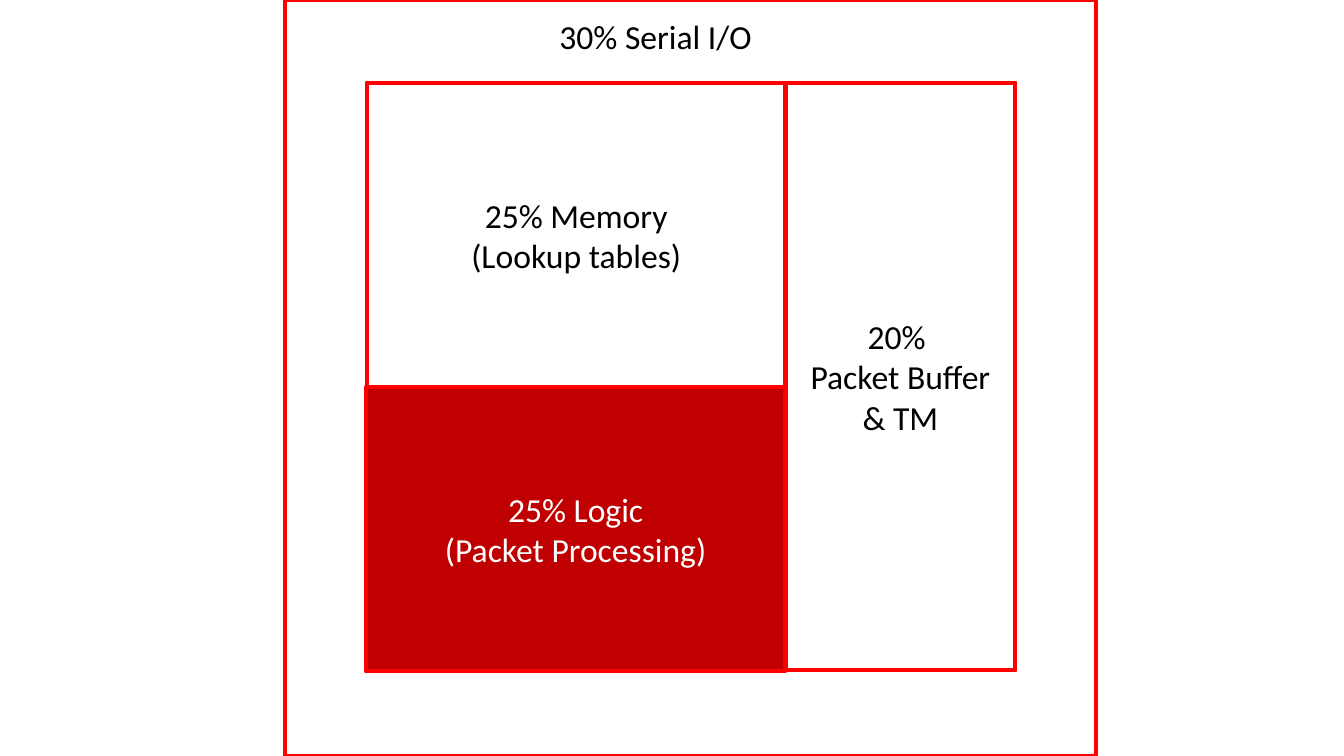
import pptx
import pptx.util
import pptx.dml.color
import pptx.enum.shapes
import pptx.enum.text

Inches = pptx.util.Inches
Pt = pptx.util.Pt
RGBColor = pptx.dml.color.RGBColor
PP_ALIGN = pptx.enum.text.PP_ALIGN
MSO_ANCHOR = pptx.enum.text.MSO_ANCHOR

RED = RGBColor(0xFF, 0x00, 0x00)
DARK_RED = RGBColor(0xC0, 0x00, 0x00)
GRAY = RGBColor(0xD9, 0xD9, 0xD9)
WHITE = RGBColor(0xFF, 0xFF, 0xFF)
BLACK = RGBColor(0x00, 0x00, 0x00)


class ChipDiagram:
    """Draws the area shares of a switch chip as outlined blocks."""

    def __init__(self, slide):
        self.slide = slide
        self.font = {"name": "Calibri", "size": Pt(24)}

    def fill_text(self, frame, lines, color, align):
        for number, line in enumerate(lines):
            paragraph = frame.add_paragraph() if number else frame.paragraphs[0]
            paragraph.text = line
            paragraph.alignment = align
            for key, value in self.font.items():
                setattr(paragraph.font, key, value)
            paragraph.font.color.rgb = color

    def block(self, left, top, width, height, fill=None, lines=(), color=BLACK):
        area = self.slide.shapes.add_shape(
            pptx.enum.shapes.MSO_SHAPE.RECTANGLE,
            Inches(left), Inches(top), Inches(width), Inches(height))
        area.shadow.inherit = False
        if fill is None:
            area.fill.background()
        else:
            area.fill.solid()
            area.fill.fore_color.rgb = fill
        area.line.color.rgb = RED
        area.line.width = Pt(3)
        area.text_frame.vertical_anchor = MSO_ANCHOR.MIDDLE
        self.fill_text(area.text_frame, lines, color, PP_ALIGN.CENTER)

    def label(self, left, top, width, height, line):
        frame = self.slide.shapes.add_textbox(
            Inches(left), Inches(top), Inches(width), Inches(height)).text_frame
        frame.word_wrap = False
        frame.auto_size = pptx.enum.text.MSO_AUTO_SIZE.SHAPE_TO_FIT_TEXT
        self.fill_text(frame, [line], BLACK, PP_ALIGN.LEFT)


def main():
    deck = pptx.Presentation()
    deck.slide_width = Inches(13.33)
    deck.slide_height = Inches(7.5)
    chip = ChipDiagram(deck.slides.add_slide(deck.slide_layouts[6]))

    core_left, core_top, core_width, core_height = 3.64, 0.82, 6.43, 5.83
    buffer_left, logic_top = 7.79, 3.84
    left_width = buffer_left - core_left

    chip.block(core_left, core_top, core_width, core_height, GRAY)
    chip.block(2.83, 0, 8.04, 7.5)
    chip.block(buffer_left, core_top, core_left + core_width - buffer_left,
               core_height, WHITE, ["20% ", "Packet Buffer", "& TM"])
    chip.label(5.45, 0.11, 2.2, 0.5, "30% Serial I/O")
    chip.block(3.63, logic_top, 4.16, 2.82,
               DARK_RED, ["25% Logic", "(Packet Processing)"], WHITE)
    chip.block(core_left, core_top, left_width, logic_top - core_top,
               WHITE, ["25% Memory", "(Lookup tables)"])

    deck.save("out.pptx")


if __name__ == "__main__":
    main()
